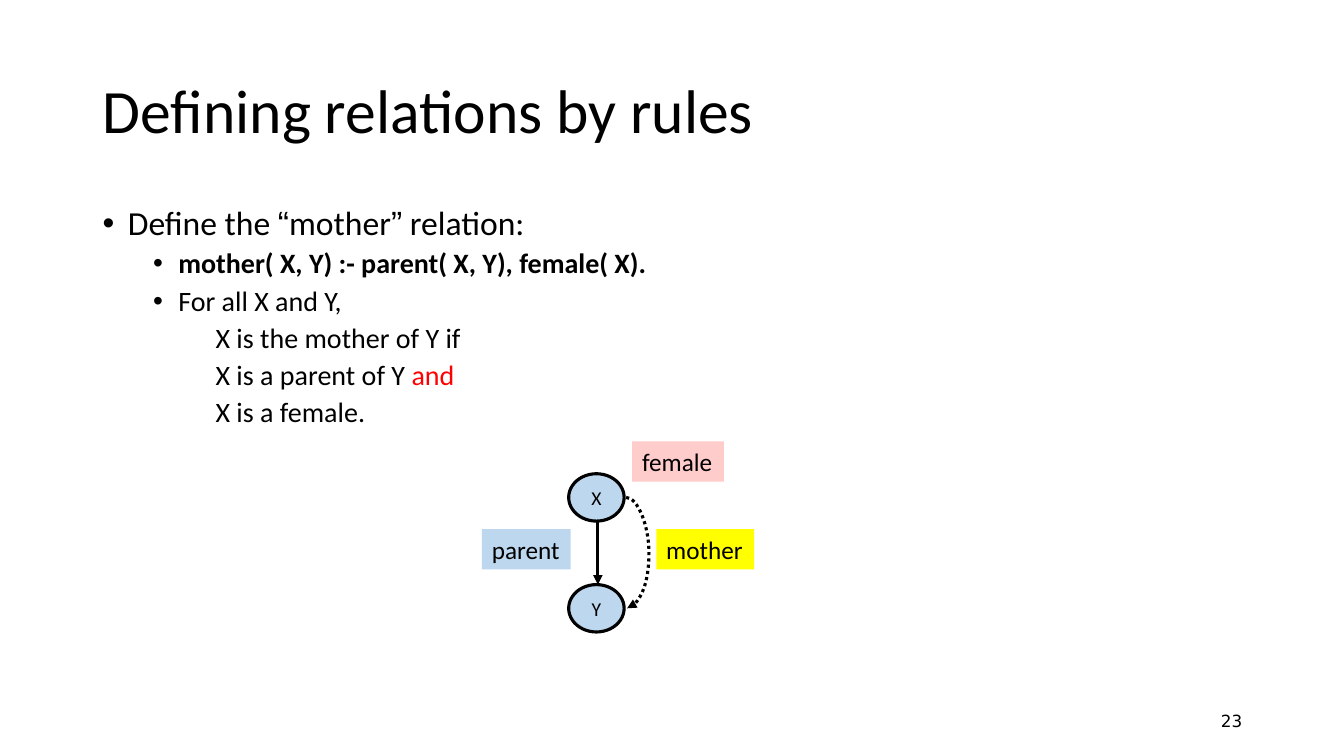
import pptx
import pptx.util
from lxml import etree
from pptx.dml.color import RGBColor
from pptx.enum.dml import MSO_LINE
from pptx.enum.shapes import MSO_CONNECTOR, MSO_SHAPE
from pptx.enum.text import MSO_ANCHOR, PP_ALIGN
from pptx.oxml.ns import qn
from pptx.util import Inches, Pt

BLACK = RGBColor(0x00, 0x00, 0x00)
RED = RGBColor(0xFF, 0x00, 0x00)
BLUE = RGBColor(0xBD, 0xD7, 0xEE)
YELLOW = RGBColor(0xFF, 0xFF, 0x00)
PINK = RGBColor(0xFF, 0xCC, 0xCC)

TITLE = "Defining relations by rules"
PAGE_NUMBER = "23"

# Each style: size, space before, left margin, first-line indent, bulleted, bold
STYLES = {
    "topic": (24, 10, 0.25, -0.25, True, False),
    "rule": (20, 5, 0.75, -0.25, True, True),
    "reading": (20, 5, 0.75, -0.25, True, False),
    "condition": (20, 5, 1.12, 0, False, False),
}
# Each line: style, then runs of text, font, colour
BODY = [
    ("topic", [("Define the ", "Calibri", BLACK), ("“", "Arial", BLACK),
               ("mother", "Calibri", BLACK), ("”", "Arial", BLACK),
               (" relation:", "Calibri", BLACK)]),
    ("rule", [("mother( X, Y) :- parent( X, Y), female( X).", "Calibri", BLACK)]),
    ("reading", [("For all X and Y,", "Calibri", BLACK)]),
    ("condition", [("X is the mother of Y if", "Calibri", BLACK)]),
    ("condition", [("X is a parent of Y ", "Calibri", BLACK), ("and", "Calibri", RED)]),
    ("condition", [("X is a female.", "Calibri", BLACK)]),
]

# Each relation: text, left, top, width, fill
RELATIONS = [
    ("parent", 4.78, 5.25, 0.88, BLUE),
    ("mother", 6.51, 5.25, 0.97, YELLOW),
    ("female", 6.27, 4.38, 0.91, PINK),
]
RELATION_HEIGHT = 0.4

PERSON_TOPS = {"X": 4.7, "Y": 5.8}
PERSON_LEFT, PERSON_WIDTH, PERSON_HEIGHT = 5.64, 0.55, 0.47
PARENT_X = 5.93
MOTHER_X, MOTHER_BULGE, MOTHER_SPAN = 6.21, 0.23, 0.01


def add_text_box(box, anchor):
    frame = slide.shapes.add_textbox(*map(Inches, box)).text_frame
    frame.word_wrap = True
    frame.vertical_anchor = anchor
    return frame


def write_line(paragraph, text, size, font="Calibri", align=PP_ALIGN.LEFT):
    paragraph.text = text
    paragraph.alignment = align
    paragraph.font.size = Pt(size)
    paragraph.font.name = font
    paragraph.font.color.rgb = BLACK


def add_body_line(paragraph, style, runs):
    size, before, margin, indent, bulleted, bold = STYLES[style]
    properties = paragraph._p.get_or_add_pPr()
    properties.set("marL", str(Inches(margin)))
    properties.set("indent", str(Inches(indent)))
    paragraph.line_spacing = 0.9
    if style != "topic":
        paragraph.space_before = Pt(before)
    if bulleted:
        etree.SubElement(properties, qn("a:buFont"), typeface="Arial")
        etree.SubElement(properties, qn("a:buChar"), char="•")
    paragraph.font.size = Pt(size)
    paragraph.font.bold = bold
    for text, font, color in runs:
        run = paragraph.add_run()
        run.text = text
        run.font.name = font
        run.font.color.rgb = color


def add_label(kind, box, text, size, fill, align, anchor):
    """Add a filled, unlined shape holding one line of text."""
    label = slide.shapes.add_shape(kind, *map(Inches, box))
    label.shadow.inherit = False
    label.fill.solid()
    label.fill.fore_color.rgb = fill
    label.line.fill.background()
    label.text_frame.word_wrap = False
    label.text_frame.vertical_anchor = anchor
    write_line(label.text_frame.paragraphs[0], text, size, align=align)
    return label


def add_arrow(kind, start, end):
    arrow = slide.shapes.add_connector(kind, *map(Inches, start + end))
    arrow.line.color.rgb = BLACK
    arrow.line.width = Pt(2.25)
    etree.SubElement(arrow._element.spPr, qn("a:effectLst"))
    return arrow


def add_arrowhead(arrow):
    etree.SubElement(arrow.line._get_or_add_ln(), qn("a:tailEnd"), type="triangle")


presentation = pptx.Presentation()
presentation.slide_width = Inches(13.33)
presentation.slide_height = Inches(7.5)
slide = presentation.slides.add_slide(presentation.slide_layouts[6])

title = add_text_box((0.92, 0.4, 11.5, 1.45), MSO_ANCHOR.MIDDLE)
write_line(title.paragraphs[0], TITLE, 44)
title.paragraphs[0].line_spacing = 0.9

body = add_text_box((0.92, 2, 11.5, 4.76), MSO_ANCHOR.TOP)
for index, (style, runs) in enumerate(BODY):
    add_body_line(body.add_paragraph() if index else body.paragraphs[0], style, runs)

page = add_text_box((9.42, 6.95, 3, 0.4), MSO_ANCHOR.MIDDLE)
write_line(page.paragraphs[0], PAGE_NUMBER, 12, "DejaVu Sans", PP_ALIGN.RIGHT)

for text, left, top, width, fill in RELATIONS:
    add_label(MSO_SHAPE.RECTANGLE, (left, top, width, RELATION_HEIGHT), text, 18, fill,
              PP_ALIGN.LEFT, MSO_ANCHOR.TOP)

for person, top in PERSON_TOPS.items():
    node = add_label(MSO_SHAPE.OVAL, (PERSON_LEFT, top, PERSON_WIDTH, PERSON_HEIGHT),
                     person, 14, BLUE, PP_ALIGN.CENTER, MSO_ANCHOR.MIDDLE)
    node.line.color.rgb = BLACK
    node.line.width = Pt(2.25)

parent_arrow = add_arrow(MSO_CONNECTOR.STRAIGHT,
                         (PARENT_X, PERSON_TOPS["X"] + PERSON_HEIGHT),
                         (PARENT_X, PERSON_TOPS["Y"]))
add_arrowhead(parent_arrow)

x_middle, y_middle = (top + PERSON_HEIGHT / 2 for top in PERSON_TOPS.values())
mother_arrow = add_arrow(MSO_CONNECTOR.CURVE, (MOTHER_X, x_middle),
                         (MOTHER_X + MOTHER_SPAN, y_middle))
mother_arrow.line.dash_style = MSO_LINE.ROUND_DOT
add_arrowhead(mother_arrow)
# The bulge is given as a multiple of the connector's narrow width
bulge = round(MOTHER_BULGE / MOTHER_SPAN * 100000)
adjustments = mother_arrow._element.spPr.find(qn("a:prstGeom")).get_or_add_avLst()
etree.SubElement(adjustments, qn("a:gd"), name="adj1", fmla=f"val {bulge}")

presentation.save("out.pptx")
